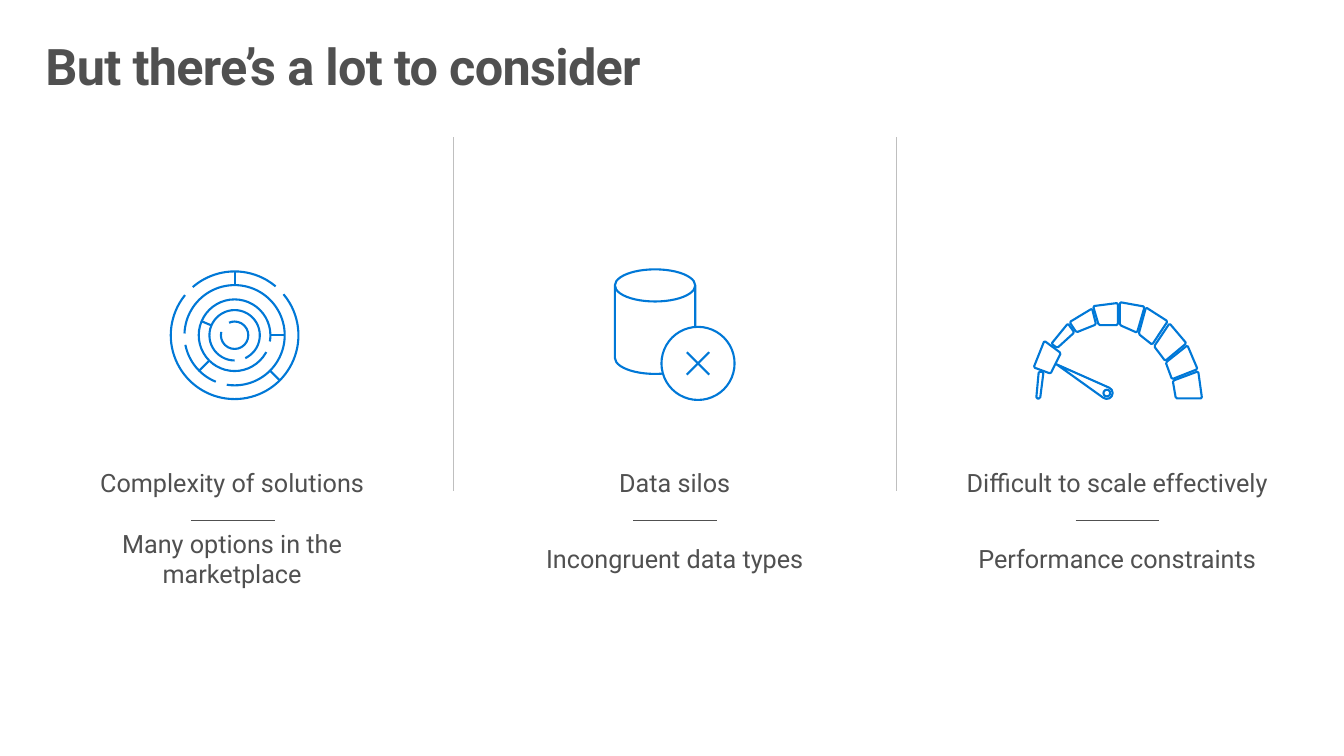
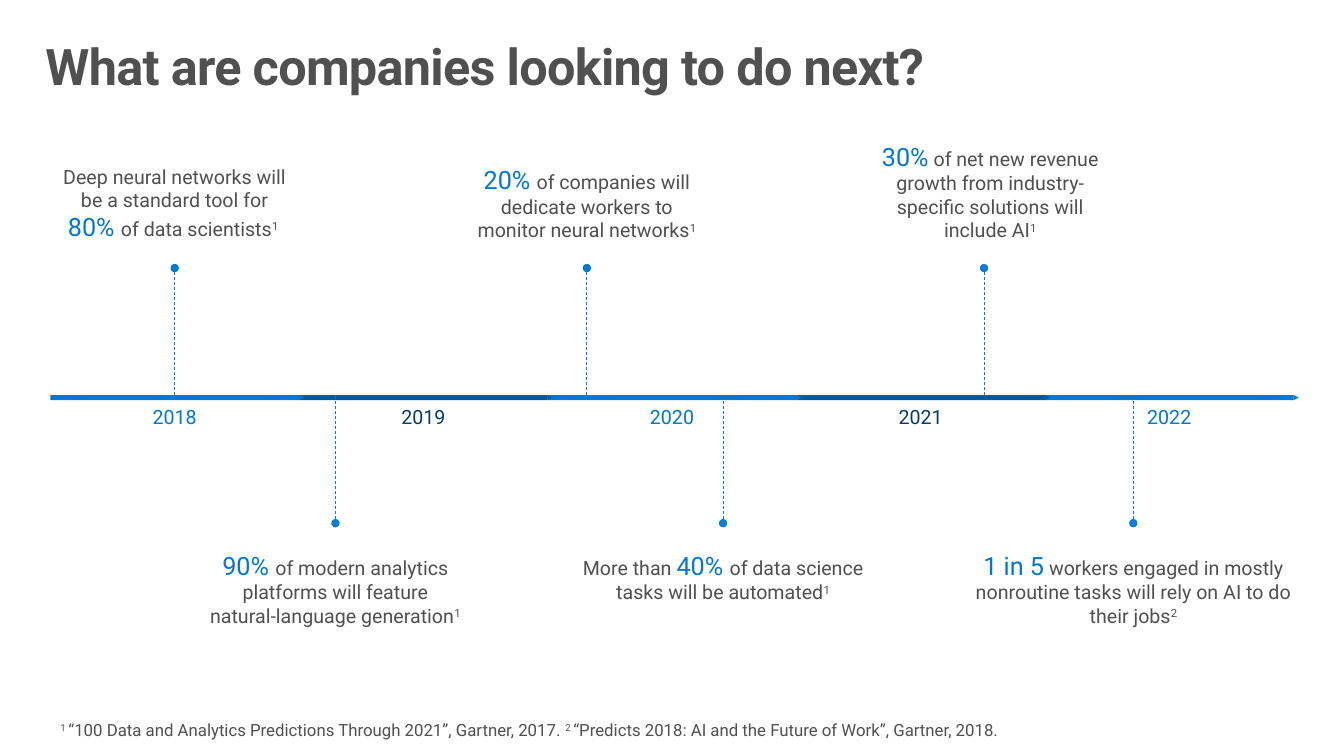
from dataclasses import dataclass
from math import cos, dist, radians, sin
from typing import Any, Callable

from lxml import etree
from pptx import Presentation
from pptx.dml.color import RGBColor
from pptx.enum.dml import MSO_LINE
from pptx.enum.shapes import MSO_CONNECTOR, MSO_SHAPE
from pptx.enum.text import MSO_ANCHOR, PP_ALIGN
from pptx.oxml.ns import qn
from pptx.util import Pt

RECTANGLE, TRIANGLE = MSO_SHAPE.RECTANGLE, MSO_SHAPE.ISOSCELES_TRIANGLE
OVAL, CAN, ARC = MSO_SHAPE.OVAL, MSO_SHAPE.CAN, MSO_SHAPE.ARC
STRAIGHT, DASH = MSO_CONNECTOR.STRAIGHT, MSO_LINE.DASH
TOP, MIDDLE, BOTTOM = MSO_ANCHOR.TOP, MSO_ANCHOR.MIDDLE, MSO_ANCHOR.BOTTOM
LEFT, CENTER = PP_ALIGN.LEFT, PP_ALIGN.CENTER

COLORS = {
    "white": "FFFFFF", "text": "505050", "divider": "BFBFBF", "blue": "0078D7",
    "marker": "077CD8", "dark_blue": "005AA1", "navy": "003C6C",
}
FONT = "Roboto"
ICON_LINE = 1.5

Point = tuple[float, float]
Box = tuple[float, float, float, float]


@dataclass(frozen=True)
class TextStyle:
    size: float
    color: str = "text"
    bold: bool = False
    spacing: int = 0
    baseline: int = 0


STYLES = {
    "title": TextStyle(36, bold=True, spacing=-50),
    "caption": TextStyle(18),
    "body": TextStyle(14),
    "figure": TextStyle(18, "blue"),
    "mark": TextStyle(14, baseline=30000),
    "source": TextStyle(12),
    "source_mark": TextStyle(12, baseline=30000),
    "light_year": TextStyle(14, "blue"),
    "dark_year": TextStyle(14, "navy"),
}
Runs = list[tuple[str, str]]  # style name, text


@dataclass(frozen=True)
class Topic:
    heading: str
    detail: str
    draw_icon: Callable[[Any], None]


@dataclass(frozen=True)
class Callout:
    marker_x: float
    left: float
    width: float
    above: bool
    color: str
    runs: Runs


# Shared drawing functions
def rgb(name: str) -> RGBColor:
    return RGBColor.from_string(COLORS[name])


def apply_format(target: Any, values: dict[str, Any]) -> None:
    for name, value in values.items():
        setattr(target, name, value)


def add_text(slide: Any, box: Box, runs: Runs, align: Any = CENTER, anchor: Any = MIDDLE,
             inset: Point = (0, 0), line_spacing: float = 1.0) -> None:
    frame = slide.shapes.add_textbox(*map(Pt, box)).text_frame
    horizontal, vertical = map(Pt, inset)
    apply_format(frame, {
        "word_wrap": True, "vertical_anchor": anchor,
        "margin_left": horizontal, "margin_right": horizontal,
        "margin_top": vertical, "margin_bottom": vertical,
    })
    paragraph = frame.paragraphs[0]
    apply_format(paragraph, {"alignment": align, "line_spacing": line_spacing})
    for style_name, text in runs:
        style = STYLES[style_name]
        run = paragraph.add_run()
        run.text = text
        apply_format(run.font, {"name": FONT, "size": Pt(style.size), "bold": style.bold})
        run.font.color.rgb = rgb(style.color)
        properties = run.font._element
        for attribute, value in (("spc", style.spacing), ("baseline", style.baseline)):
            if value:
                properties.set(attribute, str(value))


def paint(shape: Any, fill: str | None = None, line: str | None = None) -> None:
    shape.shadow.inherit = False
    if fill:
        shape.fill.solid()
        shape.fill.fore_color.rgb = rgb(fill)
    else:
        shape.fill.background()
    if line:
        shape.line.color.rgb = rgb(line)
        shape.line.width = Pt(ICON_LINE)
    else:
        shape.line.fill.background()


def add_shape(slide: Any, kind: Any, box: Box, fill: str | None = None,
              line: str | None = None) -> Any:
    shape = slide.shapes.add_shape(kind, *map(Pt, box))
    paint(shape, fill, line)
    return shape


def add_round(slide: Any, kind: Any, center: Point, radius: float,
              fill: str | None = None) -> Any:
    box = (center[0] - radius, center[1] - radius, 2 * radius, 2 * radius)
    return add_shape(slide, kind, box, fill, "blue")


def add_line(slide: Any, start: Point, end: Point, color: str, width: float,
             dotted_marker: bool = False) -> None:
    connector = slide.shapes.add_connector(STRAIGHT, *map(Pt, start + end))
    connector.line.color.rgb = rgb(color)
    connector.line.width = Pt(width)
    properties = connector._element.spPr
    if dotted_marker:
        connector.line.dash_style = DASH
        etree.SubElement(properties.find(qn("a:ln")), qn("a:tailEnd"), type="oval")
    etree.SubElement(properties, qn("a:effectLst"))


def add_outline(slide: Any, points: list[Point]) -> None:
    first, *rest = [(Pt(x), Pt(y)) for x, y in points]
    builder = slide.shapes.build_freeform(*first)
    builder.add_line_segments(rest, close=True)
    paint(builder.convert_to_shape(), line="blue")


def polar(center: Point, radius: float, angle: float) -> Point:
    return (center[0] + radius * cos(radians(angle)), center[1] + radius * sin(radians(angle)))


def cut_corners(corners: list[Point], cut: float) -> list[Point]:
    points = []
    for index, corner in enumerate(corners):
        for other in (corners[index - 1], corners[(index + 1) % len(corners)]):
            share = min(0.3, cut / dist(corner, other))
            points.append(tuple(c + (o - c) * share for c, o in zip(corner, other)))
    return points


def add_slide(presentation: Any, title: str) -> Any:
    slide = presentation.slides.add_slide(presentation.slide_layouts[6])
    add_text(slide, (20.9, 23, 918, 70.6), [("title", title)], LEFT, TOP, (11.5, 7.2), 0.9)
    return slide


# Icons
MAZE_CENTER = (167.6, 239.5)
MAZE_RADII = (9.8, 18, 25.6, 35.8, 45.6)
MAZE_ARCS = [  # ring, start angle, end angle
    (0, -114, 194), (1, -270, 65), (2, -332, 10), (3, -178, 99),
    (3, 112, 169), (4, -131, -50), (4, -40, 219),
]
MAZE_WALLS = [(3, -90), (2, 0), (3, 45), (2, 135), (1, 203)]  # inner ring, angle

GAUGE_SEGMENTS = [
    [(740.2, 284.6), (743, 284.6), (745.4, 265.7), (742, 265.4)],
    [(738.4, 262.4), (750.5, 266.9), (757.8, 252.2), (746, 243.4)],
    [(755.3, 248.5), (767.4, 237.5), (762.8, 231.1), (751, 245.6)],
    [(768.9, 237.4), (782.9, 231.8), (780.1, 220.4), (764, 230.1)],
    [(784.8, 232.2), (798.5, 232.2), (798.5, 216.4), (780.8, 218.7)],
    [(799.9, 232.2), (812.2, 237.6), (817.6, 219), (799.9, 215.8)],
    [(813.4, 238.6), (823, 246.2), (834.1, 229.5), (818.6, 219.6)],
    [(824.4, 247.4), (832.3, 257.8), (847.4, 245.2), (835.4, 231)],
    [(832.7, 259), (837.1, 270.9), (855.4, 263.7), (848.2, 246.7)],
    [(837.7, 272), (839.9, 284.6), (858.6, 284.6), (855.9, 265.2)],
]
NEEDLE_TIP, HUB = (754.6, 260.2), (790.6, 280.8)


def draw_maze(slide: Any) -> None:
    for ring, *angles in MAZE_ARCS:
        arc = add_round(slide, ARC, MAZE_CENTER, MAZE_RADII[ring])
        for index, angle in enumerate(angles):
            arc.adjustments[index] = angle % 360 * 0.6  # 60,000ths of a degree / 100,000
    for ring, angle in MAZE_WALLS:
        start, end = [polar(MAZE_CENTER, radius, angle) for radius in MAZE_RADII[ring:ring + 2]]
        add_line(slide, start, end, "blue", ICON_LINE)


def draw_database(slide: Any) -> None:
    cylinder = add_shape(slide, CAN, (439.2, 192.4, 57.4, 74.7), line="blue")
    cylinder.adjustments[0] = 0.4
    x, y, arm = 498.6, 259.6, 8
    add_round(slide, OVAL, (x, y), 26.1, "white")
    for side in (-1, 1):
        add_line(slide, (x - arm, y - side * arm), (x + arm, y + side * arm), "blue", ICON_LINE)


def draw_gauge(slide: Any) -> None:
    hub_edge = [polar(HUB, 4.2, angle) for angle in range(-65, 130, 32)]
    add_outline(slide, [NEEDLE_TIP] + hub_edge)
    add_round(slide, OVAL, HUB, 2.4)
    for corners in GAUGE_SEGMENTS:
        add_outline(slide, cut_corners(corners, 0.9))


# Slide content
TOPICS = [
    Topic("Complexity of solutions", "Many options in the marketplace", draw_maze),
    Topic("Data silos", "Incongruent data types", draw_database),
    Topic("Difficult to scale effectively", "Performance constraints", draw_gauge),
]
CALLOUTS = [
    Callout(124.8, 40.5, 168.5, True, "blue", [
        ("body", "Deep neural networks will be a standard tool for "), ("figure", "80% "),
        ("body", "of data scientists"), ("mark", "1 ")]),
    Callout(239.6, 149.6, 180, False, "marker", [
        ("figure", "90% "),
        ("body", "of modern analytics platforms will feature natural-language generation"),
        ("mark", "1")]),
    Callout(419.2, 335, 168.5, True, "blue", [
        ("figure", "20% "),
        ("body", "of companies will dedicate workers to monitor neural networks"),
        ("mark", "1")]),
    Callout(516.5, 402, 229, False, "marker", [
        ("body", "More than "), ("figure", "40% "),
        ("body", "of data science tasks will be automated"), ("mark", "1")]),
    Callout(702.9, 618.5, 177.8, True, "marker", [
        ("figure", "30%"),
        ("body", " of net new revenue growth from industry-specific solutions will include AI"),
        ("mark", "1")]),
    Callout(809.5, 695.1, 229, False, "marker", [
        ("figure", "1 in 5"),
        ("body", " workers engaged in mostly nonroutine tasks will rely on AI to do their jobs"),
        ("mark", "2")]),
]
SOURCES = [
    ("source_mark", "1 "),
    ("source", "“100 Data and Analytics Predictions Through 2021”, Gartner, 2017. "),
    ("source_mark", "2 "),
    ("source", "“Predicts 2018: AI and the Future of Work”, Gartner, 2018."),
]
YEARS = range(2018, 2023)


def build_considerations(presentation: Any) -> None:
    slide = add_slide(presentation, "But there’s a lot to consider")
    column_step = 316
    for column, topic in enumerate(TOPICS):
        offset = column * column_step
        if column:
            add_line(slide, (8 + offset, 97.9), (8 + offset, 350.6), "divider", 0.5)
        topic.draw_icon(slide)
        for top, text in ((334.1, topic.heading), (388.1, topic.detail)):
            add_text(slide, (38, top, 255.6, 21.6) if not column
                     else (38.2 + offset, top, 255.6, 21.6), [("caption", text)])
        add_line(slide, (136.4 + offset, 371.5), (196.2 + offset, 371.5), "text", 0.75)


def build_timeline(presentation: Any) -> None:
    slide = add_slide(presentation, "What are companies looking to do next?")
    axis_left, axis_top, year_width, thickness = 36, 282.2, 177.6, 3.6

    # Year bars, last first so that each arrow tip overlaps the next bar
    for index, year in reversed(list(enumerate(YEARS))):
        left = axis_left + index * year_width
        fill, style = ("dark_blue", "dark_year") if index % 2 else ("blue", "light_year")
        add_text(slide, (left, 288, year_width, 18.7), [(style, str(year))], inset=(14.4, 0))
        add_shape(slide, RECTANGLE, (left, axis_top, year_width, thickness), fill)
        tip = add_shape(slide, TRIANGLE,
                        (left + year_width, axis_top, thickness, thickness), fill)
        tip.rotation = 90

    # Callouts on both sides of the axis
    for callout in CALLOUTS:
        start, end, top, anchor = ((282.2, 191.5, 100.8, BOTTOM) if callout.above
                                   else (283, 373.7, 392.9, TOP))
        add_line(slide, (callout.marker_x, start), (callout.marker_x, end),
                 callout.color, 0.5, dotted_marker=True)
        add_text(slide, (callout.left, top, callout.width, 72), callout.runs, anchor=anchor)
    add_text(slide, (43.2, 514, 682, 14.4), SOURCES, LEFT, TOP)


def main() -> None:
    presentation = Presentation()
    apply_format(presentation, {"slide_width": Pt(960), "slide_height": Pt(540)})
    build_considerations(presentation)
    build_timeline(presentation)
    presentation.save("out.pptx")


if __name__ == "__main__":
    main()
